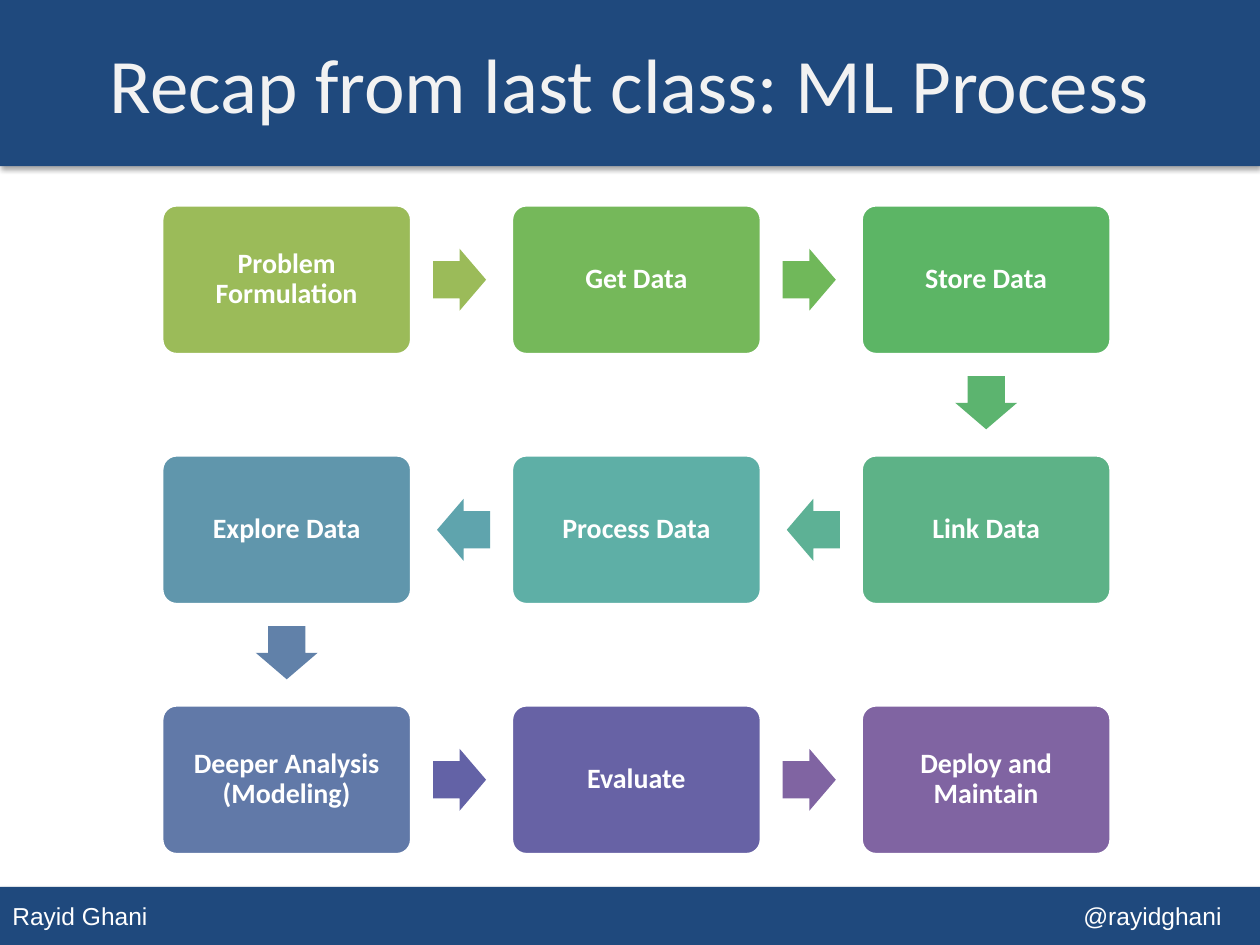
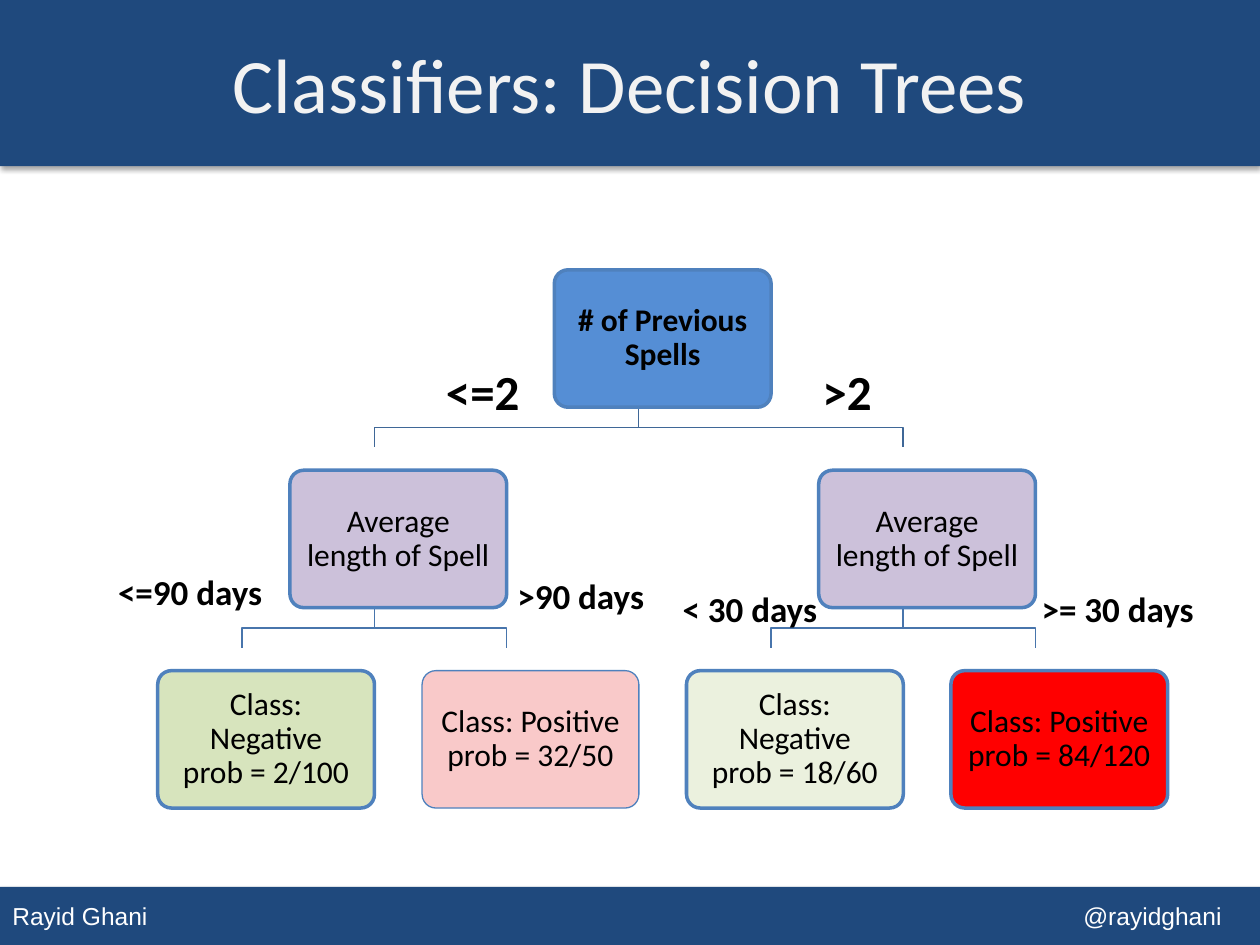
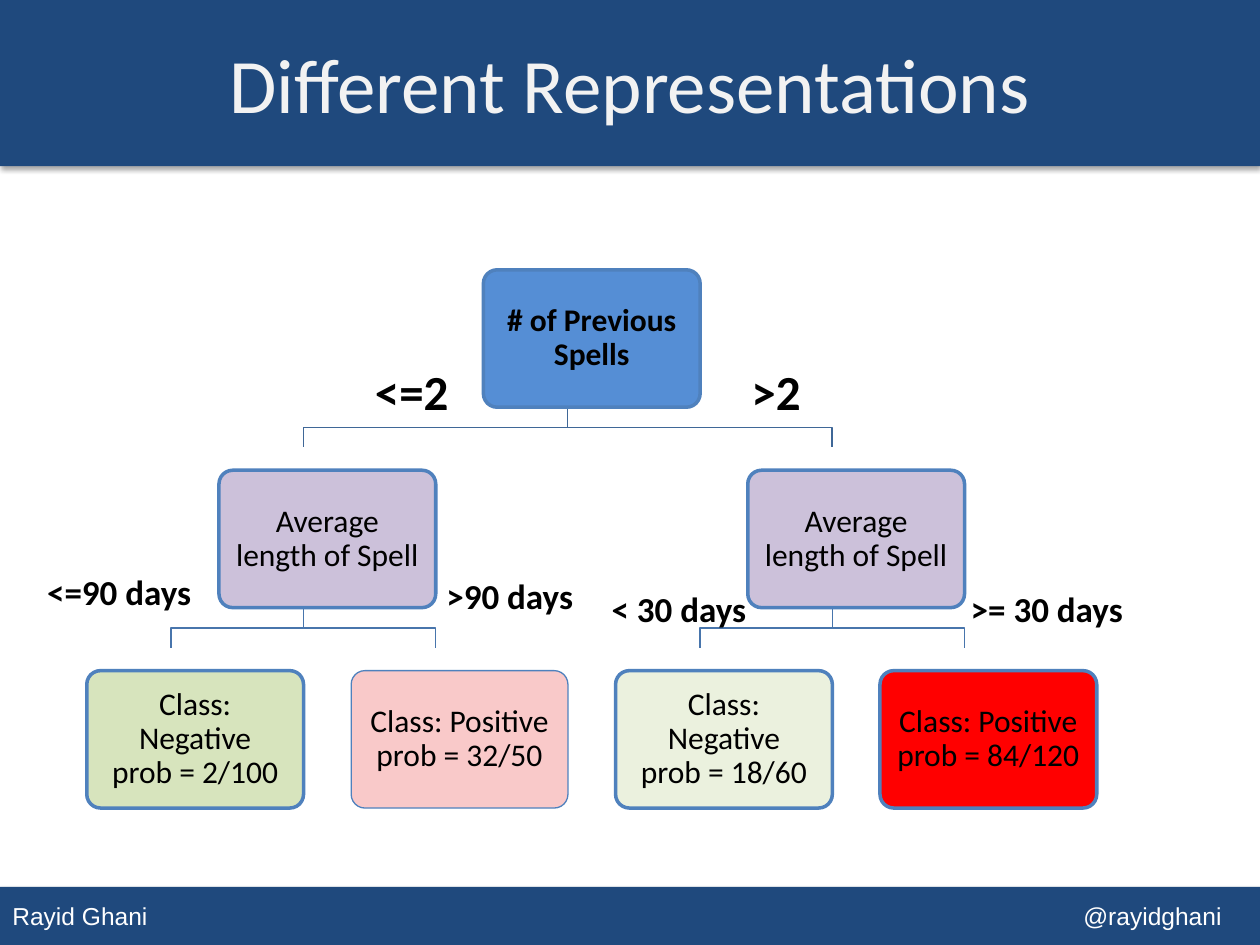
from lxml import etree
from pptx import Presentation
from pptx.dml.color import RGBColor
from pptx.enum.shapes import MSO_SHAPE
from pptx.enum.text import MSO_ANCHOR, PP_ALIGN
from pptx.oxml.ns import qn
from pptx.util import Cm, Pt

RECTANGLE = MSO_SHAPE.RECTANGLE
ROUNDED = MSO_SHAPE.ROUNDED_RECTANGLE
ARROW = MSO_SHAPE.RIGHT_ARROW
MIDDLE, TOP = MSO_ANCHOR.MIDDLE, MSO_ANCHOR.TOP
CENTER, LEFT = PP_ALIGN.CENTER, PP_ALIGN.LEFT

COLORS = {
    "band": "1F497D", "title": "F2F2F2", "white": "FFFFFF", "black": "000000",
    "step 1": "9BBB59", "step 2": "75B85A", "step 3": "5CB565",
    "step 4": "5DB287", "step 5": "5EAFA6", "step 6": "6096AC",
    "step 7": "6179A8", "step 8": "6762A5", "step 9": "8064A2",
    "arrow 1": "9BBB59", "arrow 2": "70B85A", "arrow 3": "5CB46F",
    "arrow 4": "5DB195", "arrow 5": "5FA4AD", "arrow 6": "6181A9",
    "arrow 7": "6362A6", "arrow 8": "8064A2",
    "node line": "4F81BD", "root branch": "3F6797", "leaf branch": "4875AC",
    "root": "558ED5", "split": "CCC1DA", "negative": "D7E4BD",
    "weak negative": "EBF1DE", "weak positive": "E60002", "positive": "FF0000",
}
OPACITY = {"weak positive": 21}

PAGE_WIDTH, PAGE_HEIGHT = 25.4, 19.05
TITLE_HEIGHT, FOOTER_HEIGHT = 3.35, 1.17

STEPS = [
    "Problem Formulation", "Get Data", "Store Data",
    "Link Data", "Process Data", "Explore Data",
    "Deeper Analysis (Modeling)", "Evaluate", "Deploy and Maintain",
]
STEPS_PER_ROW = 3

# text, colour, column (in leaf widths), level, line width
NODES = [
    ("# of Previous Spells", "root", 1.5, 0, 2),
    ("Average length of Spell", "split", 0.5, 1, 2),
    ("Average length of Spell", "split", 2.5, 1, 2),
    ("Class: Negative\vprob = 2/100", "negative", 0, 2, 2),
    ("Class: Positive\vprob = 32/50", "weak positive", 1, 2, 0.75),
    ("Class: Negative\vprob = 18/60", "weak negative", 2, 2, 2),
    ("Class: Positive\vprob = 84/120", "positive", 3, 2, 2),
]
# parent column, child columns, level of the parent, colour
BRANCHES = [
    (2.5, (3, 2), 1, "leaf branch"),
    (0.5, (1, 0), 1, "leaf branch"),
    (1.5, (2.5, 0.5), 0, "root branch"),
]
# text, left, top, width, height, size
BRANCH_LABELS = [
    (">2", 13.15, 1.73, 1.52, 1.45, 28),
    ("<=2", 5.56, 1.73, 2.0, 1.45, 28),
    ("<=90 days", -1.05, 5.94, 3.45, 1.12, 20),
    (">90 days", 7.0, 6.02, 3.1, 1.12, 20),
    ("< 30 days", 10.33, 6.27, 3.25, 1.12, 20),
    (">= 30 days", 17.57, 6.27, 3.6, 1.12, 20),
]


def color(name):
    return RGBColor.from_string(COLORS[name])


def add_box(page, kind, left, top, width, height, fill, line=None, line_width=2):
    box = page.shapes.add_shape(kind, Cm(left), Cm(top), Cm(width), Cm(height))
    box.shadow.inherit = False
    box.fill.solid()
    box.fill.fore_color.rgb = color(fill)
    if fill in OPACITY:
        tint = box._element.spPr.find(qn("a:solidFill"))[0]
        etree.SubElement(tint, qn("a:alpha"), val=str(OPACITY[fill] * 1000))
    if line:
        box.line.color.rgb = color(line)
        box.line.width = Pt(line_width)
    else:
        box.line.fill.background()
    return box


def write(box, text, size, ink, bold=False, font="Calibri",
          align=CENTER, anchor=MIDDLE, wrap=True):
    frame = box.text_frame
    frame.text = text
    frame.word_wrap = wrap
    frame.vertical_anchor = anchor
    para = frame.paragraphs[0]
    para.alignment = align
    for span in para.runs:
        span.font.name = font
        span.font.size = Pt(size)
        span.font.bold = bold
        span.font.color.rgb = color(ink)
    return para


def write_block(box, text, size, ink, bold):
    """Text of a rounded block: even insets and tight lines."""
    write(box, text, size, ink, bold).line_spacing = 0.9
    frame = box.text_frame
    frame.margin_left = frame.margin_right = Cm(0.26)
    frame.margin_top = frame.margin_bottom = Cm(0.26)


def add_text(page, left, top, width, height, text, size, ink, **style):
    box = page.shapes.add_textbox(Cm(left), Cm(top), Cm(width), Cm(height))
    write(box, text, size, ink, **style)


def add_band(page, top, height):
    """Full-width bar with a soft shadow below it."""
    band = add_box(page, RECTANGLE, 0, top, PAGE_WIDTH, height, "band")
    effects = band._element.spPr.find(qn("a:effectLst"))
    shadow = etree.SubElement(effects, qn("a:outerShdw"), blurRad="40000",
                              dist="23000", dir="5400000", rotWithShape="0")
    shade = etree.SubElement(shadow, qn("a:srgbClr"), val=COLORS["black"])
    etree.SubElement(shade, qn("a:alpha"), val="35000")
    return band


def add_footer(page):
    band = add_band(page, PAGE_HEIGHT - FOOTER_HEIGHT, FOOTER_HEIGHT)
    para = write(band, "Rayid Ghani\t@rayidghani", 14, "white",
                 font="Arial", align=LEFT)
    tabs = etree.SubElement(para._p.get_or_add_pPr(), qn("a:tabLst"))
    etree.SubElement(tabs, qn("a:tab"), pos=str(Cm(21.59)), algn="l")


def add_page(deck, title):
    page = deck.slides.add_slide(deck.slide_layouts[6])
    add_footer(page)
    add_band(page, 0, TITLE_HEIGHT)
    add_text(page, 0, 0.08, PAGE_WIDTH, 3.18, title, 44, "title")
    return page


def add_process(page, left, top):
    """Steps that snake through the rows, with an arrow from each to the next."""
    width, height = 5.04, 3.02
    column_pitch, row_pitch = 7.05, 5.04
    arrow_width, arrow_height, setback = 1.07, 1.25, 0.04
    places = []
    for index in range(len(STEPS)):
        row, column = divmod(index, STEPS_PER_ROW)
        if row % 2:
            column = STEPS_PER_ROW - 1 - column
        places.append((left + column * column_pitch, top + row * row_pitch))

    for number, (text, (x, y)) in enumerate(zip(STEPS, places), 1):
        box = add_box(page, ROUNDED, x, y, width, height, f"step {number}", "white")
        box.adjustments[0] = 0.1
        write_block(box, text, 16, "white", True)

    for number, ((x, y), (next_x, next_y)) in enumerate(zip(places, places[1:]), 1):
        right = (next_x > x) - (next_x < x)
        down = int(next_y > y)
        center_x = (x + next_x + width) / 2 - setback * right
        center_y = (y + next_y + height) / 2 - setback * down
        arrow = add_box(page, ARROW, center_x - arrow_width / 2,
                        center_y - arrow_height / 2, arrow_width, arrow_height,
                        f"arrow {number}")
        arrow.adjustments[0] = 0.6
        arrow.adjustments[1] = 0.5
        arrow.rotation = 90 if down else 90 * (1 - right)


def add_branch(page, start_x, end_x, top, ink):
    """Line that drops, turns sideways and drops again."""
    bend, end = top + 0.87, top + 1.27
    builder = page.shapes.build_freeform(Cm(start_x), Cm(top))
    builder.add_line_segments(
        [(Cm(start_x), Cm(bend)), (Cm(end_x), Cm(bend)), (Cm(end_x), Cm(end))],
        close=False)
    branch = builder.convert_to_shape()
    branch.shadow.inherit = False
    branch.fill.background()
    branch.line.color.rgb = color(ink)
    branch.line.width = Pt(0.75)


def add_tree(page, left, top):
    width, height = 4.37, 2.77
    column_pitch, level_pitch = 5.33, 4.04
    stem_left, stem_top = 1.7, 2.31

    for parent, children, level, ink in BRANCHES:
        for child in children:
            add_branch(page, left + parent * column_pitch + stem_left,
                       left + child * column_pitch + stem_left,
                       top + level * level_pitch + stem_top, ink)

    for text, fill, column, level, line_width in NODES:
        box = add_box(page, ROUNDED, left + column * column_pitch,
                      top + level * level_pitch, width, height,
                      fill, "node line", line_width)
        box.adjustments[0] = 0.1
        write_block(box, text, 18, "black", level == 0)

    for text, x, y, label_width, label_height, size in BRANCH_LABELS:
        add_text(page, left + x, top + y, label_width, label_height, text, size,
                 "black", bold=True, align=LEFT, anchor=TOP, wrap=False)


def main():
    deck = Presentation()
    deck.slide_width, deck.slide_height = Cm(PAGE_WIDTH), Cm(PAGE_HEIGHT)
    add_process(add_page(deck, "Recap from last class: ML Process"), 3.26, 4.13)
    add_tree(add_page(deck, "Classifiers: Decision Trees"), 3.18, 5.44)
    add_tree(add_page(deck, "Different Representations"), 1.75, 5.44)
    deck.save("out.pptx")


if __name__ == "__main__":
    main()
